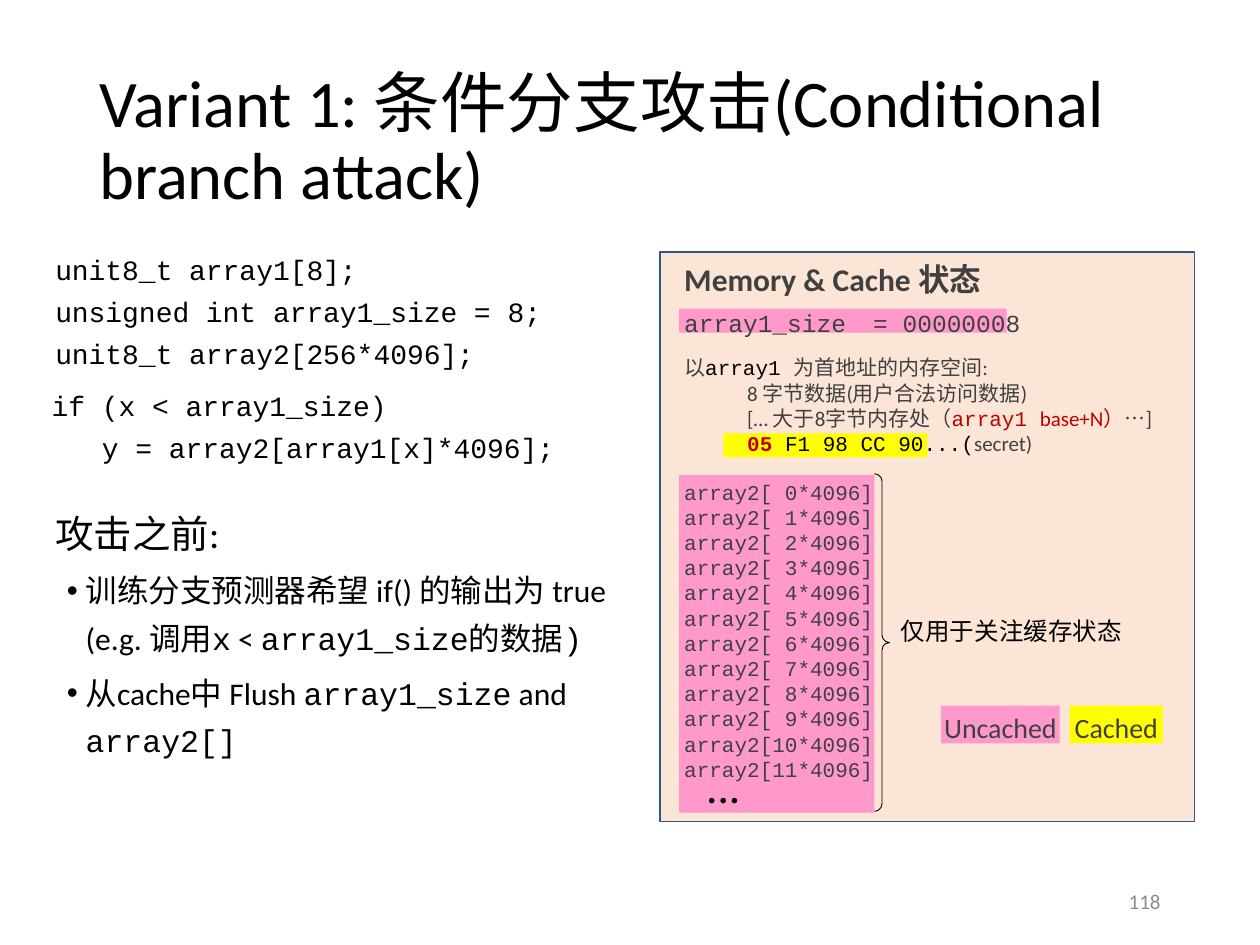
import dataclasses

import lxml.etree
import pptx
import pptx.dml.color
import pptx.enum.shapes
import pptx.enum.text
import pptx.oxml.ns
import pptx.util

Inches = pptx.util.Inches
Pt = pptx.util.Pt
Shape = pptx.enum.shapes.MSO_SHAPE
Align = pptx.enum.text.PP_ALIGN
Anchor = pptx.enum.text.MSO_ANCHOR


@dataclasses.dataclass(frozen=True)
class Theme:
    sans: str = "Calibri"
    mono: str = "Courier New"
    black: str = "000000"
    gray: str = "404040"
    pale: str = "8C8C8C"
    red: str = "C00000"
    panel: str = "FBE5D6"
    outline: str = "325491"
    uncached: str = "FF99CC"
    cached: str = "FFFF00"
    title: int = 38
    heading: int = 22
    body: int = 18
    code: int = 16
    note: int = 14
    small: int = 12
    dots: int = 9


@dataclasses.dataclass(frozen=True)
class Area:
    left: float
    top: float
    width: float
    height: float

    def inner(self, left, top, width, height):
        return Area(self.left + left, self.top + top, width, height)

    def lengths(self):
        return [Inches(round(value, 2)) for value in dataclasses.astuple(self)]


THEME = Theme()
MONO = {"font": THEME.mono}
RED = {"color": THEME.red}
BLACK = {"color": THEME.black}
TIGHT = (0.07, 0.04)


def rgb(code):
    return pptx.dml.color.RGBColor.from_string(code)


def add_span(para, text, size, font=THEME.sans, color=THEME.black, bold=False):
    for number, line in enumerate(text.split("\n")):
        if number:
            para.add_line_break()
        span = para.add_run()
        span.text = line
        span.font.size = Pt(size)
        span.font.name = font
        span.font.bold = bold
        span.font.color.rgb = rgb(color)


def add_para(frame, spans, align=Align.LEFT, spacing=1.0, before=0, after=0,
             margin=0, hanging=0, bullet=None, tab=None, **style):
    first = frame.paragraphs[0]
    para = frame.add_paragraph() if first.runs else first
    properties = para._p.get_or_add_pPr()
    properties.set("marL", str(Inches(margin)))
    properties.set("indent", str(-Inches(hanging)))
    qn = pptx.oxml.ns.qn
    if bullet:
        lxml.etree.SubElement(properties, qn("a:buFont"), typeface="Arial")
        lxml.etree.SubElement(properties, qn("a:buChar"), char=bullet)
    if tab:
        stops = lxml.etree.SubElement(properties, qn("a:tabLst"))
        lxml.etree.SubElement(stops, qn("a:tab"), pos=str(Inches(tab)), algn="l")
    para.alignment = align
    para.line_spacing = spacing
    para.space_before = Pt(before)
    para.space_after = Pt(after)
    for text, changes in [(spans, {})] if isinstance(spans, str) else spans:
        add_span(para, text, **{**style, **changes})


def set_frame(frame, inset=TIGHT, anchor=Anchor.TOP, wrap=True):
    frame.word_wrap = wrap
    frame.vertical_anchor = anchor
    frame.margin_left = frame.margin_right = Inches(inset[0])
    frame.margin_top = frame.margin_bottom = Inches(inset[1])
    return frame


def add_text(page, area, paras=(), inset=TIGHT, anchor=Anchor.TOP, **style):
    box = page.shapes.add_textbox(*area.lengths())
    frame = set_frame(box.text_frame, inset, anchor)
    for spans in paras:
        add_para(frame, spans, **style)
    return frame


def add_block(page, area, fill=None, line=None, width=1, kind=Shape.RECTANGLE):
    block = page.shapes.add_shape(kind, *area.lengths())
    block.shadow.inherit = False
    if fill:
        block.fill.solid()
        block.fill.fore_color.rgb = rgb(fill)
    else:
        block.fill.background()
    if line:
        block.line.color.rgb = rgb(line)
        block.line.width = Pt(width)
    else:
        block.line.fill.background()
    return block


def add_code(page, area):
    style = {"size": THEME.code, "font": THEME.mono, "spacing": 1.25}
    declarations = ["unit8_t array1[8];", "unsigned int array1_size = 8;",
                    "unit8_t array2[256*4096];"]
    branch = ["if (x < array1_size)", "   y = array2[array1[x]*4096];"]
    add_text(page, area.inner(0, 0, 4.09, 1.09), declarations,
             inset=(0.1, 0.05), **style)
    add_text(page, area.inner(0, 1.09, 4.66, 0.73), branch, **style)


def add_preparation(page, area):
    frame = add_text(page, area)
    add_para(frame, "攻击之前:", size=THEME.heading, spacing=1.25, after=1.5,
             margin=0.07)
    steps = [
        [("训练分支预测器希望 if() 的输出为 true\n(e.g. 调用", {}), ("x", MONO),
         (" < ", {}), ("array1_size的数据)", MONO)],
        [("从cache中 Flush ", {}), ("array1_size", MONO), (" and ", {}),
         ("array2[]", MONO)],
    ]
    for step in steps:
        add_para(frame, step, size=THEME.body, spacing=1.25, before=1.5,
                 after=3, margin=0.31, hanging=0.15, bullet="•")


def add_memory_text(page, area):
    frame = add_text(page, area)
    layout = {"margin": 0.09, "tab": 0.42, "color": THEME.gray}
    add_para(frame, "Memory & Cache 状态", size=THEME.body, bold=True, **layout)
    add_para(frame, "array1_size\t= 00000008", size=THEME.note,
             font=THEME.mono, before=6, **layout)
    layout["size"] = THEME.small
    add_para(frame, [("以", {}), ("array1 ", {**MONO, **BLACK}),
                     ("为首地址的内存空间:", {})], before=10, **layout)
    add_para(frame, [("\t8 字节数据(用户合法访问数据)\n\t[… 大于8字节内存处（", {}),
                     ("array1 ", {**MONO, **RED}), ("base+N）", RED),
                     ("…]", {})], **layout)
    add_para(frame, [("\t05", {**MONO, **RED, "bold": True}),
                     (" F1 98 CC 90...(", {**MONO, **BLACK}),
                     ("secret)", {})], **layout)
    for index in range(12):
        add_para(frame, f"array2[{index:2d}*4096]", font=THEME.mono,
                 before=0 if index else 13.4, **layout)


def add_legend(page, area):
    entries = [("Uncached", THEME.uncached, 0, 0.94),
               ("Cached", THEME.cached, 1.02, 0.74)]
    for label, fill, left, width in entries:
        block = add_block(page, area.inner(left, 0, width, area.height), fill)
        frame = set_frame(block.text_frame, anchor=Anchor.TOP, wrap=False)
        add_para(frame, label, size=THEME.code, color=THEME.gray,
                 align=Align.CENTER)


def add_memory(page, area):
    add_block(page, area, THEME.panel, THEME.outline)
    brace = add_block(page, area.inner(1.7, 1.76, 0.12, 2.68),
                      line=THEME.black, width=0.5, kind=Shape.RIGHT_BRACE)
    brace.adjustments[0] = 0.5
    brace.adjustments[1] = 0.5
    add_block(page, area.inner(0.15, 1.77, 1.55, 2.68), THEME.uncached)
    add_block(page, area.inner(0.15, 0.45, 2.6, 0.19), THEME.uncached)
    add_block(page, area.inner(0.5, 1.44, 1.62, 0.19), THEME.cached)
    add_memory_text(page, area.inner(0.03, 0.02, 4.22, 4.38))
    add_legend(page, area.inner(2.23, 3.6, 1.76, 0.3))
    add_text(page, area.inner(0.25, 4.23, 0.5, 0.23), ["• • •"],
             size=THEME.dots, align=Align.CENTER)
    add_text(page, area.inner(1.84, 2.85, 2.4, 0.31), ["仅用于关注缓存状态"],
             size=THEME.note)


def main():
    deck = pptx.Presentation()
    deck.slide_width = Inches(10)
    deck.slide_height = Inches(7.5)
    page = deck.slides.add_slide(deck.slide_layouts[6])
    add_text(page, Area(0.69, 0.4, 9.16, 1.45),
             ["Variant 1: 条件分支攻击(Conditional branch attack)"],
             inset=(0.1, 0.05), anchor=Anchor.MIDDLE, size=THEME.title,
             spacing=0.9)
    add_code(page, Area(0.34, 1.89, 4.66, 1.82))
    add_preparation(page, Area(0.3, 3.92, 4.91, 2.15))
    add_memory(page, Area(5.24, 2, 4.24, 4.52))
    add_text(page, Area(7.06, 6.95, 2.25, 0.4), ["118"], inset=(0.1, 0.05),
             anchor=Anchor.MIDDLE, size=THEME.small, color=THEME.pale,
             align=Align.RIGHT)
    deck.save("out.pptx")


if __name__ == "__main__":
    main()
